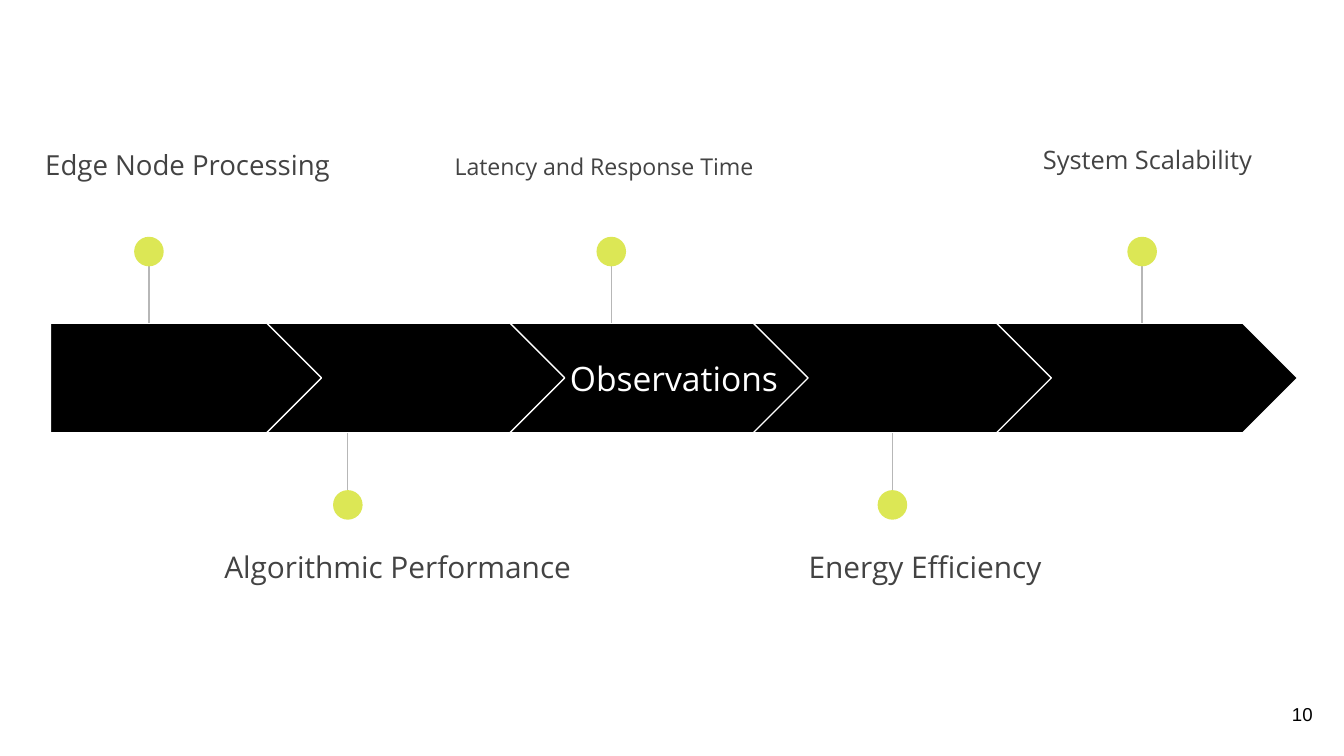
from collections import namedtuple

from lxml.etree import SubElement
from pptx import Presentation
from pptx.dml.color import RGBColor
from pptx.enum.shapes import MSO_CONNECTOR as Link, MSO_SHAPE as Kind
from pptx.enum.text import MSO_ANCHOR as Anchor, PP_ALIGN as Align
from pptx.oxml.ns import qn
from pptx.util import Inches, Pt

# The grid has 100 square cells across the 16:9 slide and 56.25 down it.
CELL = Inches(0.1)
COLS, ROWS = 100, 56.25
BLACK, WHITE, GREY, LIME, DARK = "000000", "FFFFFF", "B7B7B7", "DCE755", "434343"
FONT = "Open Sans"

Box = namedtuple("Box", "x y w h")

BAND = Box(3.75, 24.05, 92.8, 8.15)
STEPS = 5
DOT = 2.2
STEM = 6.5

# Pin centre, whether it stands above the band, label, size, label box
PINS = [
    (11.08, True, "Edge Node Processing", 14.8, Box(1.7, 9.64, 24.5, 5.1)),
    (25.88, False, "Algorithmic Performance", 16, Box(13.6, 39.44, 32, 7.4)),
    (45.48, True, "Latency and Response Time", 12.4, Box(32.7, 10.06, 24.5, 4.3)),
    (66.4, False, "Energy Efficiency", 16, Box(56.08, 39.44, 25.5, 5.9)),
    (84.98, True, "System Scalability", 13.6, Box(73.12, 9.4, 24.5, 4.3)),
]


def cells(*nums):
    return [round(n * CELL) for n in nums]


def color(code):
    return RGBColor.from_string(code)


def add_text(slide, box, text, size, font=FONT, fill=DARK, align=Align.CENTER,
             anchor=Anchor.TOP, lead=None, after=None):
    frame = slide.shapes.add_textbox(*cells(*box)).text_frame
    frame.word_wrap = True
    frame.vertical_anchor = anchor
    frame.margin_left = frame.margin_right = CELL
    frame.margin_top = frame.margin_bottom = CELL
    para = frame.paragraphs[0]
    para.alignment = align
    if lead:
        para.line_spacing = lead
    if after:
        para.space_after = Pt(after)
    run = para.add_run()
    run.text = text
    run.font.name = font
    run.font.size = Pt(size)
    run.font.color.rgb = color(fill)


def add_shape(slide, kind, box, fill, line=None):
    shape = slide.shapes.add_shape(kind, *cells(*box))
    shape.shadow.inherit = False
    shape.fill.solid()
    shape.fill.fore_color.rgb = color(fill)
    if line:
        shape.line.color.rgb = color(line)
        shape.line.width = Pt(0.75)
    else:
        shape.line.fill.background()
    return shape


def add_band(slide, box, title):
    """Draw the row of arrows, each tip set into the next one's notch."""
    step, wide, first = 18.1, 22.4, 20.5
    start = box.x + box.w - wide - (STEPS - 1) * step
    for i in range(STEPS):
        if i == 0:
            kind, part = Kind.PENTAGON, Box(box.x, box.y, first, box.h)
        else:
            kind = Kind.CHEVRON
            part = Box(start + i * step, box.y, wide, box.h)
        add_shape(slide, kind, part, BLACK, WHITE).adjustments[0] = 0.5
    mid = start + STEPS // 2 * step
    add_text(slide, Box(mid + 1, box.y + 1.55, wide, 5.1), title, 18,
             fill=WHITE, anchor=Anchor.MIDDLE)


def add_pin(slide, band, x, above):
    """Draw a stem from the band's edge to a dot."""
    if above:
        near = band.y
        far = near - STEM + 0.4
        top = near - STEM + 0.07
    else:
        near = band.y + band.h
        far = near + STEM - 0.4
        top = near + STEM - DOT - 0.03
    stem = slide.shapes.add_connector(Link.STRAIGHT, *cells(x, far, x, near))
    stem.line.color.rgb = color(GREY)
    stem.line.width = Pt(0.75)
    SubElement(stem.line._get_or_add_ln().getparent(), qn("a:effectLst"))
    add_shape(slide, Kind.OVAL, Box(x - DOT / 2, top, DOT, DOT), LIME)


def main():
    deck = Presentation()
    deck.slide_width, deck.slide_height = cells(COLS, ROWS)
    slide = deck.slides.add_slide(deck.slide_layouts[6])
    add_band(slide, BAND, "Observations")
    for x, above, text, size, box in PINS:
        add_pin(slide, BAND, x, above)
        add_text(slide, box, text, size, lead=1.15, after=12)
    add_text(slide, Box(COLS - 7.35, ROWS - 5.25, 6, 4.3), "10", 10, font="Arial",
             fill=BLACK, align=Align.RIGHT, anchor=Anchor.MIDDLE)
    deck.save("out.pptx")


if __name__ == "__main__":
    main()
